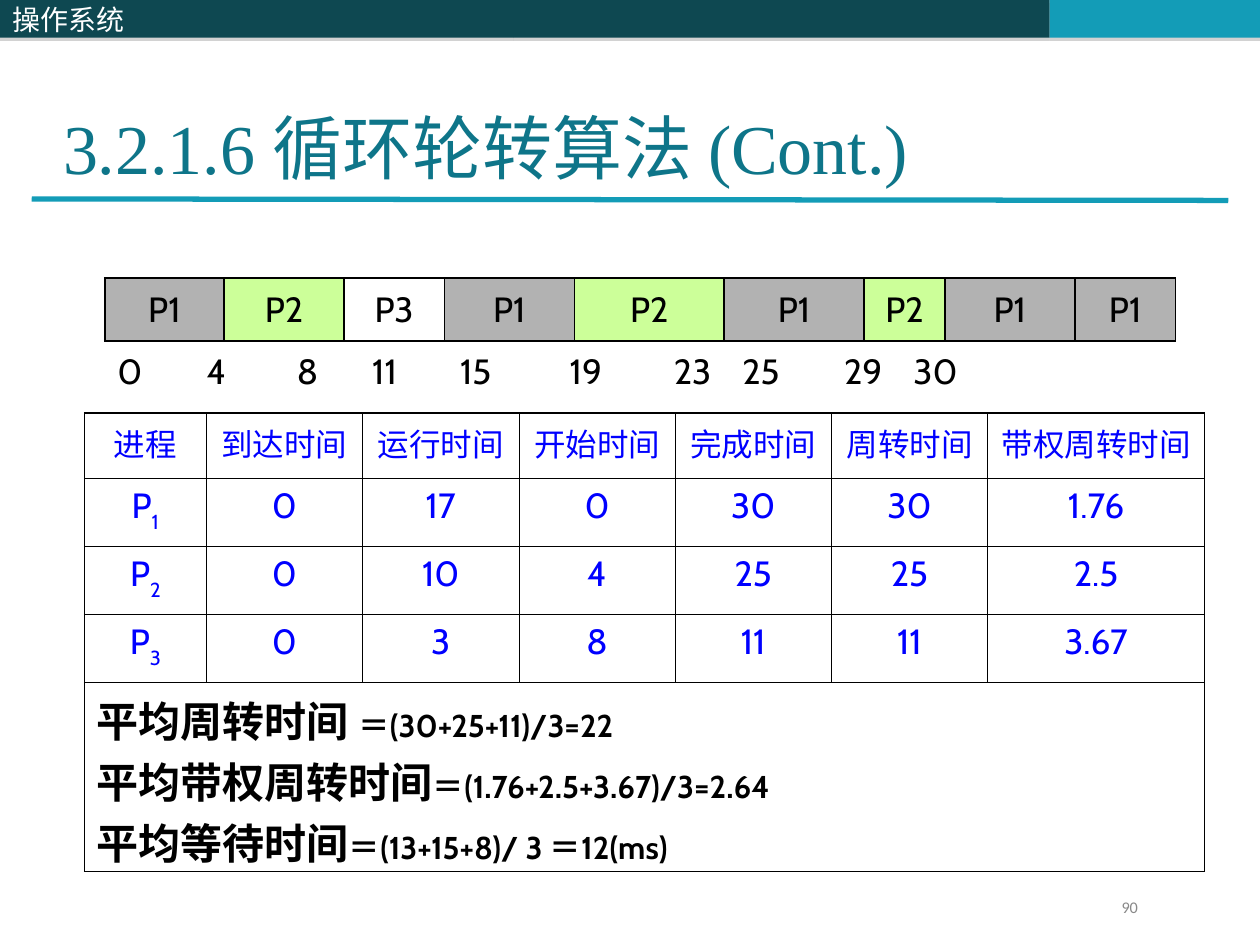
from dataclasses import dataclass

from lxml import etree
from pptx import Presentation
from pptx.dml.color import RGBColor
from pptx.enum import shapes, text
from pptx.oxml.ns import qn
from pptx.util import Cm, Pt

COLORS = {
    "dark": "0E4851", "teal": "139CB7", "title": "0E7589", "white": "FFFFFF",
    "black": "000000", "blue": "0000FF", "page": "898989", "shadow": "808080",
    "P1": "B2B2B2", "P2": "CCFF99",
}
LATIN, SERIF, CJK = "Cabin", "Times New Roman", "Noto Sans CJK SC"
NO_STYLE = "{2D5ABB26-0587-4C30-8999-92F81FD0307C}"
THIN, MEDIUM, THICK = 0.45, 0.96, 1.08


@dataclass
class Band:
    left: float
    width: float
    color: str
    label: str = ""


@dataclass
class Grid:
    left: float
    top: float
    columns: list[float]
    rows: list[float]


def rgb(name: str) -> RGBColor:
    return RGBColor.from_string(COLORS[name])


def style(paragraph, size: float, color: str, face: str = LATIN,
          align=text.PP_ALIGN.LEFT, bold: bool = False) -> None:
    paragraph.alignment = align
    font = paragraph.font
    font.size, font.name, font.bold = Pt(size), face, bold
    font.color.rgb = rgb(color)
    defaults = paragraph._p.pPr.find(qn("a:defRPr"))
    etree.SubElement(defaults, qn("a:ea"), typeface=CJK)


def draw_band(slide, band: Band) -> None:
    bar = slide.shapes.add_shape(shapes.MSO_SHAPE.RECTANGLE, Cm(band.left), Cm(0),
                                 Cm(band.width), Cm(0.76))
    bar.fill.solid()
    bar.fill.fore_color.rgb = rgb(band.color)
    bar.line.fill.background()
    bar.shadow.inherit = False
    effects = bar._element.spPr.find(qn("a:effectLst"))
    shadow = etree.SubElement(effects, qn("a:outerShdw"), dist=str(Pt(1.8)), dir="5400000")
    tint = etree.SubElement(shadow, qn("a:srgbClr"), val=COLORS["shadow"])
    etree.SubElement(tint, qn("a:alpha"), val="35000")
    if band.label:
        bar.text_frame.text = band.label
        bar.text_frame.vertical_anchor = text.MSO_ANCHOR.MIDDLE
        style(bar.text_frame.paragraphs[0], 16, "white", CJK)


def draw_grid(slide, grid: Grid):
    frame = slide.shapes.add_table(len(grid.rows), len(grid.columns), Cm(grid.left), Cm(grid.top),
                                   Cm(sum(grid.columns)), Cm(sum(grid.rows)))
    table = frame.table
    table.first_row = table.horz_banding = False
    table._tbl.tblPr.find(qn("a:tableStyleId")).text = NO_STYLE
    for column, width in zip(table.columns, grid.columns):
        column.width = Cm(width)
    for row, height in zip(table.rows, grid.rows):
        row.height = Cm(height)
    return table


def set_borders(cell, **widths: float) -> None:
    """Draw black borders; sides are left, right, top and bottom."""
    properties = cell._tc.get_or_add_tcPr()
    for position, side in enumerate(("left", "right", "top", "bottom")):
        width = widths.get(side, 0)
        line = etree.Element(qn(f"a:ln{side[0].upper()}"), w=str(Pt(width)))
        if width:
            fill = etree.SubElement(line, qn("a:solidFill"))
            etree.SubElement(fill, qn("a:srgbClr"), val=COLORS["black"])
        else:
            etree.SubElement(line, qn("a:noFill"))
        properties.insert(position, line)


def fill_results(slide) -> None:
    header = ["进程", "到达时间", "运行时间", "开始时间", "完成时间", "周转时间", "带权周转时间"]
    processes = [
        ["P1", "0", "17", "0", "30", "30", "1.76"],
        ["P2", "0", "10", "4", "25", "25", "2.5"],
        ["P3", "0", "3", "8", "11", "11", "3.67"],
    ]
    averages = [
        ("平均周转时间 ", "＝(30+25+11)/3=22"),
        ("平均带权周转时间", "＝(1.76+2.5+3.67)/3=2.64"),
        ("平均等待时间", "＝(13+15+8)/ 3 ＝12(ms)"),
    ]
    table = draw_grid(slide, Grid(1.7, 8.33, [2.46] + [3.15] * 5 + [4.37],
                                  [1.32] + [1.37] * 3 + [3.76]))
    for r, values in enumerate([header] + processes):
        for c, value in enumerate(values):
            cell = table.cell(r, c)
            paragraph = cell.text_frame.paragraphs[0]
            size, face = (20, LATIN) if r else (18, SERIF)
            style(paragraph, size, "blue", face, text.PP_ALIGN.CENTER)
            if r and c == 0:
                paragraph.add_run().text = value[0]
                index = paragraph.add_run()
                index.text = value[1:]
                index._r.get_or_add_rPr().set("baseline", "-30000")
            else:
                paragraph.add_run().text = value
            set_borders(cell, left=THIN, right=THIN, top=MEDIUM if r < 2 else THIN,
                        bottom=THIN if r else MEDIUM)

    # Averages across the full width
    last = len(table.rows) - 1
    summary = table.cell(last, 0)
    summary.merge(table.cell(last, len(header) - 1))
    for c in range(len(header)):
        set_borders(table.cell(last, c), left=THIN, right=THIN, top=THIN, bottom=MEDIUM)
    summary.margin_bottom = 0
    for i, (name, formula) in enumerate(averages):
        paragraph = summary.text_frame.add_paragraph() if i else summary.text_frame.paragraphs[0]
        style(paragraph, 24, "black", bold=True)
        paragraph.add_run().text = name
        value = paragraph.add_run()
        value.text = formula
        value.font.size = Pt(18)


def fill_timeline(slide) -> None:
    turns = ["P1", "P2", "P3", "P1", "P2", "P1", "P2", "P1", "P1"]
    times = ["0", "4", "8", "11", "15", "19", "23", "25", "29", "30"]
    time_stops = [1.8, 3.62, 5.14, 6.91, 9.12, 11.22, 12.6, 14.65, 16.05]
    table = draw_grid(slide, Grid(2.11, 5.61,
                                  [2.41, 2.41, 2.03, 2.62, 3.02, 2.82, 1.63, 2.62, 2.03],
                                  [1.27, 1.24]))
    for c, process in enumerate(turns):
        cell = table.cell(0, c)
        cell.text = process
        cell.vertical_anchor = text.MSO_ANCHOR.MIDDLE
        style(cell.text_frame.paragraphs[0], 20, "black", align=text.PP_ALIGN.CENTER)
        if process in COLORS:
            cell.fill.solid()
            cell.fill.fore_color.rgb = rgb(process)
        set_borders(cell, left=THICK, right=THICK, top=THICK, bottom=THICK)

    # Switching times on tab stops
    axis = table.cell(1, 0)
    axis.merge(table.cell(1, len(turns) - 1))
    for c in range(len(turns)):
        set_borders(table.cell(1, c), top=THICK)
    axis.text = "\t".join(times)
    axis.vertical_anchor = text.MSO_ANCHOR.MIDDLE
    paragraph = axis.text_frame.paragraphs[0]
    tabs = etree.SubElement(paragraph._p.get_or_add_pPr(), qn("a:tabLst"))
    for stop in time_stops:
        etree.SubElement(tabs, qn("a:tab"), pos=str(Cm(stop)), algn="l")
    style(paragraph, 20, "black")


def main() -> None:
    deck = Presentation()
    deck.slide_width, deck.slide_height = Cm(25.4), Cm(19.05)
    slide = deck.slides.add_slide(deck.slide_layouts[5])

    # Top banner and rule
    for band in (Band(10.36, 10.8, "dark"), Band(21.16, 4.24, "teal"),
                 Band(0, 10.36, "dark", "操作系统")):
        draw_band(slide, band)
    rule = slide.shapes.add_connector(shapes.MSO_CONNECTOR.STRAIGHT,
                                      Cm(0.64), Cm(4.01), Cm(24.76), Cm(4.04))
    rule.line.color.rgb = rgb("teal")
    rule.line.width = Pt(3)
    etree.SubElement(rule._element.spPr, qn("a:effectLst"))

    # Title
    title = slide.shapes.title
    title.left, title.top, title.width, title.height = Cm(1.27), Cm(0.43), Cm(18.2), Cm(3.38)
    heading = title.text_frame
    heading.text = "3.2.1.6 循环轮转算法 (Cont.)"
    heading.margin_left = heading.margin_right = heading.margin_top = heading.margin_bottom = 0
    heading.vertical_anchor = text.MSO_ANCHOR.BOTTOM
    heading.auto_size = text.MSO_AUTO_SIZE.NONE
    style(heading.paragraphs[0], 40, "title", SERIF)

    fill_results(slide)
    fill_timeline(slide)

    # Page number
    page = slide.shapes.add_textbox(Cm(19.05), Cm(18.03), Cm(5.92), Cm(0.69)).text_frame
    page.word_wrap = True
    page.margin_left = Cm(3.56)
    page.text = "90"
    page.paragraphs[0].line_spacing = 0.8
    style(page.paragraphs[0], 9.3, "page", "Calibri")

    deck.save("out.pptx")


if __name__ == "__main__":
    main()
